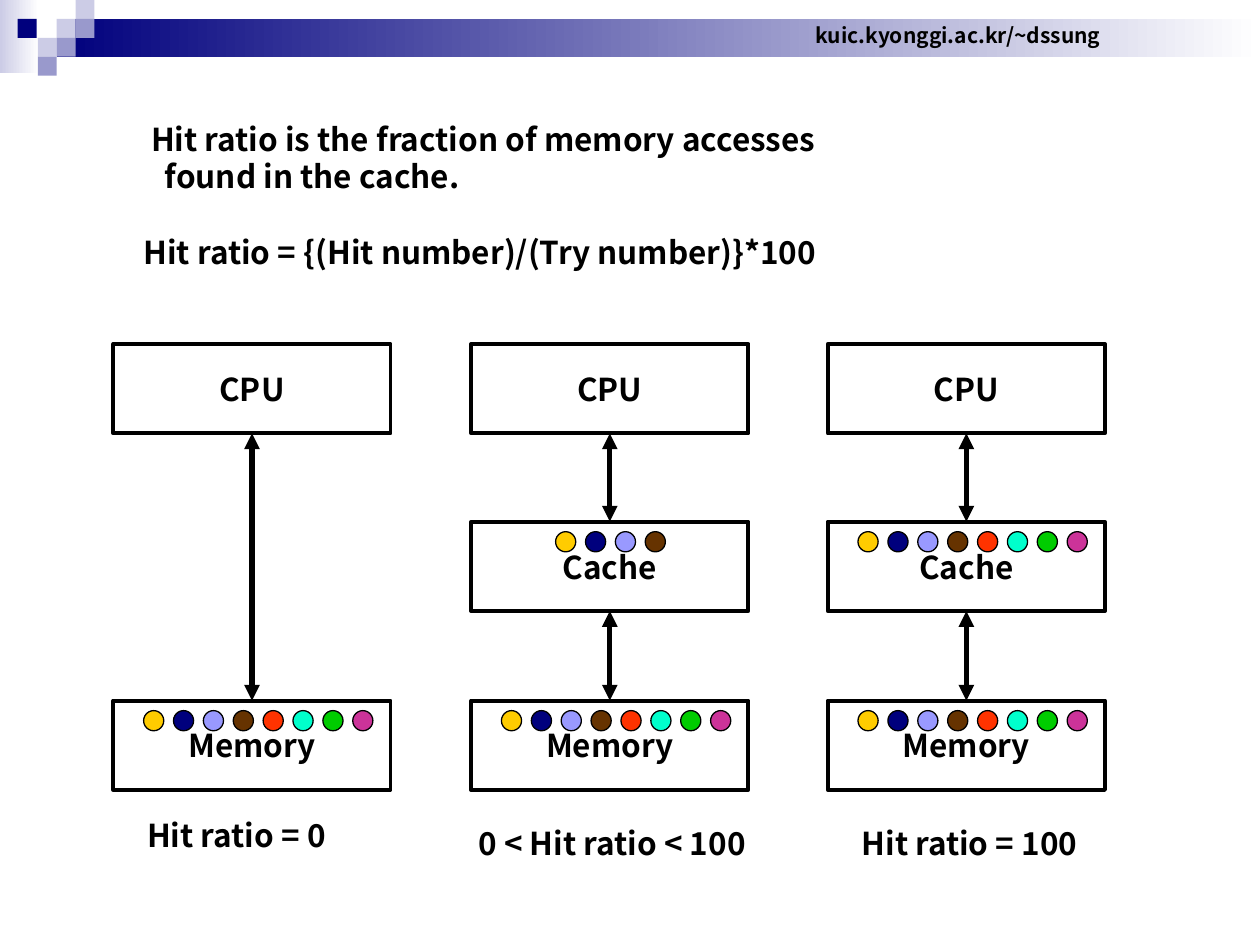
from itertools import pairwise

from lxml import etree
from pptx import Presentation
from pptx.dml.color import RGBColor
from pptx.enum.shapes import MSO_CONNECTOR, MSO_SHAPE
from pptx.enum.text import MSO_ANCHOR, PP_ALIGN
from pptx.oxml.ns import qn
from pptx.util import Inches, Pt

RECT, OVAL = MSO_SHAPE.RECTANGLE, MSO_SHAPE.OVAL
STRAIGHT = MSO_CONNECTOR.STRAIGHT
MIDDLE, TOP = MSO_ANCHOR.MIDDLE, MSO_ANCHOR.TOP
CENTER, LEFT = PP_ALIGN.CENTER, PP_ALIGN.LEFT

BLACK = RGBColor(0x00, 0x00, 0x00)
WHITE = RGBColor(0xFF, 0xFF, 0xFF)
NAVY = RGBColor(0x00, 0x00, 0x7D)
LAVENDER = RGBColor(0xCC, 0xCC, 0xE6)
PERIWINKLE = RGBColor(0x99, 0x99, 0xCC)
YELLOW = RGBColor(0xFF, 0xCC, 0x00)
LILAC = RGBColor(0x99, 0x99, 0xFF)
BROWN = RGBColor(0x66, 0x33, 0x00)
RED = RGBColor(0xFF, 0x33, 0x00)
AQUA = RGBColor(0x00, 0xFF, 0xCC)
GREEN = RGBColor(0x00, 0xCC, 0x00)
MAGENTA = RGBColor(0xCC, 0x33, 0x99)
DATA_COLORS = (YELLOW, NAVY, LILAC, BROWN, RED, AQUA, GREEN, MAGENTA)

BOX_W, BOX_H = 2.2, 0.71
DOT_SIZE, DOT_PITCH = 0.16, 1.66 / 7
CPU_Y, CACHE_Y, MEMORY_Y = 2.73, 4.14, 5.56


class Diagram:
    font = "Noto Sans CJK KR"

    def __init__(self, s):
        self.s = s

    def shape(self, kind, x, y, w, h, color, line=None):
        sp = self.s.shapes.add_shape(kind, Inches(x), Inches(y), Inches(w), Inches(h))
        sp.shadow.inherit = False
        sp.fill.solid()
        sp.fill.fore_color.rgb = color
        if line:
            sp.line.color.rgb = BLACK
            sp.line.width = Pt(line)
        else:
            sp.line.fill.background()
        return sp

    def fade(self, x, y, w, h, color):
        sp = self.shape(RECT, x, y, w, h, color)
        sp.fill.gradient()
        sp.fill.gradient_angle = 180
        for stop, rgb in zip(sp.fill.gradient_stops, (WHITE, color)):
            stop.color.rgb = rgb

    def set_text(self, tf, lines, size=18, align=LEFT, anchor=TOP):
        tf.text = "\n".join(lines)
        tf.word_wrap = align == LEFT
        tf.vertical_anchor = anchor
        for p in tf.paragraphs:
            p.alignment = align
            for r in p.runs:
                r.font.name = self.font
                r.font.size = Pt(size)
                r.font.bold = True
                r.font.color.rgb = BLACK

    def text(self, x, y, w, h, *lines, **style):
        sp = self.s.shapes.add_textbox(Inches(x), Inches(y), Inches(w), Inches(h))
        self.set_text(sp.text_frame, lines, **style)
        return sp.text_frame

    def box(self, x, y, label):
        sp = self.shape(RECT, x, y, BOX_W, BOX_H, WHITE, 2.25)
        self.set_text(sp.text_frame, [label], align=CENTER, anchor=MIDDLE)
        return sp

    def arrow(self, upper, lower):
        c = self.s.shapes.add_connector(STRAIGHT, 0, 0, 0, 0)
        c.begin_connect(upper, 2)
        c.end_connect(lower, 0)
        c.line.color.rgb = BLACK
        c.line.width = Pt(3)
        ln = c._element.spPr.find(qn("a:ln"))
        for end in ("a:headEnd", "a:tailEnd"):
            etree.SubElement(ln, qn(end), type="triangle")
        etree.SubElement(c._element.spPr, qn("a:effectLst"))

    def dots(self, x, y, count):
        for i, color in enumerate(DATA_COLORS[:count]):
            self.shape(OVAL, x + i * DOT_PITCH, y + 0.08, DOT_SIZE, DOT_SIZE, color, 0.75)

    def column(self, x, cached, dot_offset=0.24):
        levels = [("CPU", CPU_Y), ("Memory", MEMORY_Y)]
        if cached:
            levels.insert(1, ("Cache", CACHE_Y))
        boxes = [self.box(x, y, label) for label, y in levels]
        for upper, lower in pairwise(boxes):
            self.arrow(upper, lower)
        self.dots(x + 0.24, MEMORY_Y, len(DATA_COLORS))
        self.dots(x + dot_offset, CACHE_Y, cached)


def main():
    prs = Presentation()
    prs.slide_width, prs.slide_height = Inches(10), Inches(7.5)
    d = Diagram(prs.slides.add_slide(prs.slide_layouts[6]))

    d.fade(0, 0, 0.31, 0.58, LAVENDER)
    d.fade(0.45, 0.15, 9.55, 0.3, NAVY)
    for x, y, color in (
        (0.45, 0.15, LAVENDER),
        (0.6, 0, LAVENDER),
        (0.6, 0.15, PERIWINKLE),
        (0.3, 0.3, LAVENDER),
        (0.14, 0.15, NAVY),
        (0.45, 0.3, PERIWINKLE),
        (0.3, 0.45, PERIWINKLE),
    ):
        d.shape(RECT, x, y, 0.15, 0.15, color)
    d.text(6.37, 0.13, 2.47, 0.3, "kuic.kyonggi.ac.kr/~dssung",
           size=12, align=CENTER, anchor=MIDDLE)

    tf = d.text(1.04, 0.9, 5.75, 1.3,
                "Hit ratio is the fraction of memory accesses",
                "found in the cache.",
                "Hit ratio = {(Hit number)/(Try number)}*100")
    for p, indent in zip(tf.paragraphs, (0.06, 0.17)):
        p._p.get_or_add_pPr().set("marL", str(Inches(indent)))
    tf.paragraphs[2].space_before = Pt(21.6)

    d.column(0.9, 0)
    d.column(3.74, 4, 0.67)
    d.column(6.57, 8)

    d.text(1.07, 6.43, 1.66, 0.4, "Hit ratio = 0")
    d.text(3.7, 6.49, 2.36, 0.4, "0 < Hit ratio < 100")
    d.text(6.74, 6.49, 1.94, 0.4, "Hit ratio = 100")

    prs.save("out.pptx")


if __name__ == "__main__":
    main()
